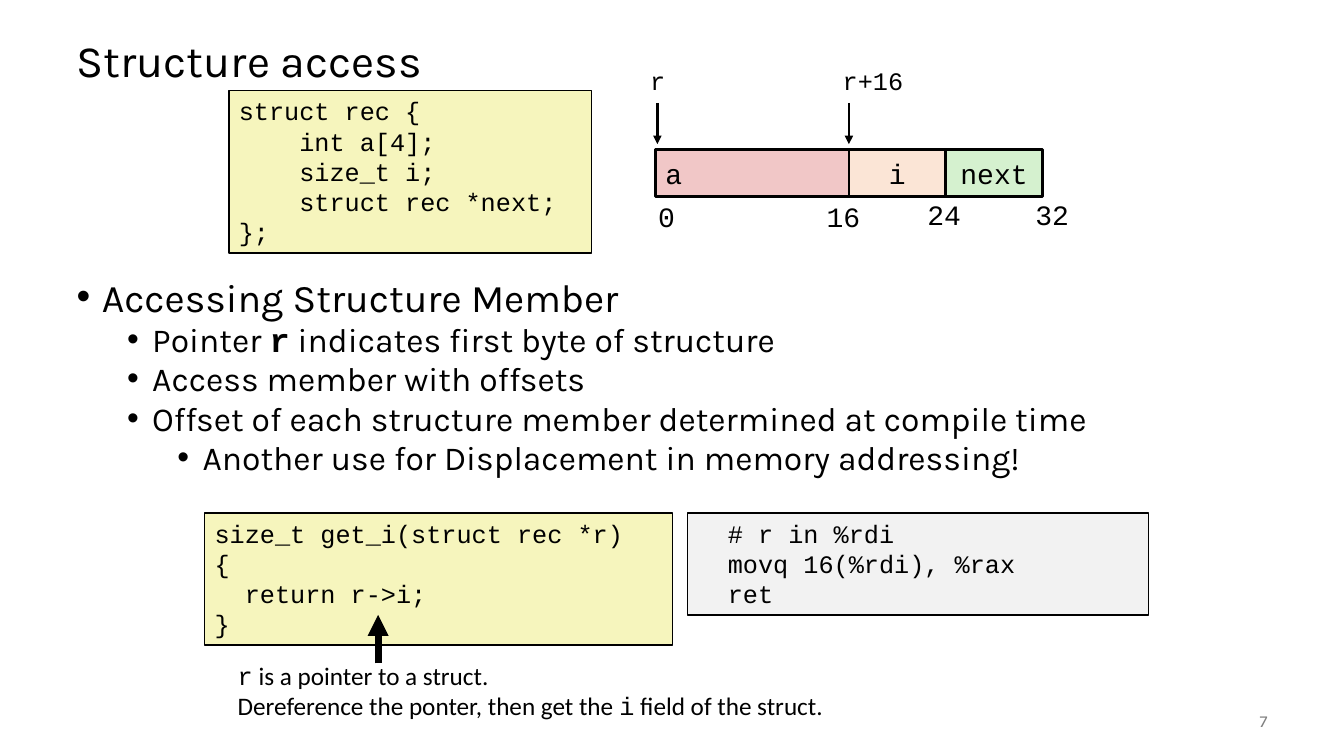
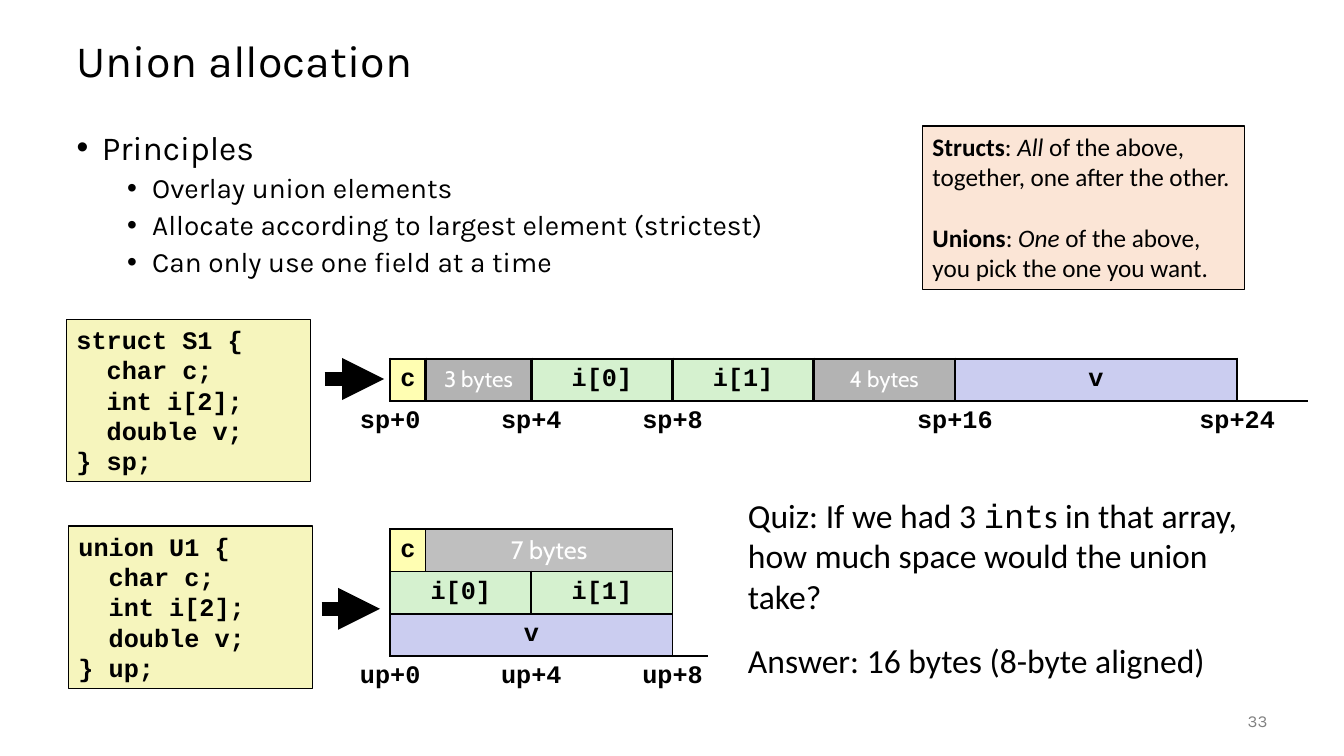
from lxml import etree
from pptx import Presentation
from pptx.dml.color import RGBColor
from pptx.enum.shapes import MSO_CONNECTOR, MSO_SHAPE
from pptx.enum.text import MSO_ANCHOR, MSO_AUTO_SIZE, PP_ALIGN
from pptx.oxml.ns import qn
from pptx.util import Pt

PX = 9144  # 100 px to the inch
RECTANGLE, STRAIGHT = MSO_SHAPE.RECTANGLE, MSO_CONNECTOR.STRAIGHT
LEFT, CENTER, RIGHT = PP_ALIGN.LEFT, PP_ALIGN.CENTER, PP_ALIGN.RIGHT
TOP, MIDDLE = MSO_ANCHOR.TOP, MSO_ANCHOR.MIDDLE
NO_FIT = MSO_AUTO_SIZE.NONE
NO_GRID_STYLE = "{2D5ABB26-0587-4C30-8999-92F81FD0307C}"


class Theme:
    heading, mono, note, padding = "Karla", "Courier New", "Calibri", "Cabin"
    black, white, number = "000000", "FFFFFF", "808080"
    code, assembly, peach = "F6F5BD", "F2F2F2", "FBE5D6"
    pink, green, yellow, lilac = "F1C7C7", "D5F1CF", "FFFEB2", "CBCDF0"
    gray, light_gray = "B3B3B3", "BFBFBF"
    title_size, large_size, field_size, text_size = 32, 24, 20, 18
    padding_size, number_size = 16, 12


def write(text_frame, paragraphs, size, font, bold=False, color=Theme.black, align=LEFT):
    """Fill a text frame; a paragraph is a string or a list of (text, marks)."""
    for index, content in enumerate(paragraphs):
        paragraph = text_frame.paragraphs[0] if index == 0 else text_frame.add_paragraph()
        paragraph.alignment = align
        runs = [(content, "")] if isinstance(content, str) else content
        for text, marks in runs:
            run = paragraph.add_run()
            run.text = text
            run.font.size = Pt(size)
            run.font.name = Theme.mono if "mono" in marks else font
            run.font.bold = bold or "bold" in marks
            run.font.italic = "italic" in marks
            run.font.color.rgb = RGBColor.from_string(color)


def add_box(slide, area, paragraphs, size=Theme.text_size, font=Theme.mono, bold=False,
            color=Theme.black, align=LEFT, anchor=TOP, fill=None, weight=1):
    """Add a text box, or an outlined rectangle when a fill is given."""
    place = [value * PX for value in area]
    if fill:
        shape = slide.shapes.add_shape(RECTANGLE, *place)
        shape.shadow.inherit = False
        shape.fill.solid()
        shape.fill.fore_color.rgb = RGBColor.from_string(fill)
        shape.line.color.rgb = RGBColor.from_string(Theme.black)
        shape.line.width = Pt(weight)
    else:
        shape = slide.shapes.add_textbox(*place)
    shape.text_frame.word_wrap = True
    shape.text_frame.vertical_anchor = anchor
    write(shape.text_frame, paragraphs, size, font, bold, color, align)
    return shape


presentation = Presentation()
presentation.slide_width, presentation.slide_height = 1333 * PX, 750 * PX
layout = presentation.slide_layouts[1]

# Titles, bullet lists and slide numbers
outlines = [
    ("Structure access", "7", (66, 275, 1200, 218), 0.8, (28, 24), [
        (0, "Accessing Structure Member"),
        (1, [("Pointer ", ""), ("r", "mono bold"), (" indicates first byte of structure", "")]),
        (1, "Access member with offsets"),
        (1, "Offset of each structure member determined at compile time"),
        (2, "Another use for Displacement in memory addressing!"),
    ]),
    ("Union allocation", "33", (66, 125, 795, 181), 0.9, (24, 20), [
        (0, "Principles"),
        (1, "Overlay union elements"),
        (1, "Allocate according to largest element (strictest)"),
        (1, "Can only use one field at a time"),
    ]),
]
for title_text, number, body_area, spacing, (top_size, sub_size), items in outlines:
    slide = presentation.slides.add_slide(layout)
    title, body = slide.shapes.title, slide.placeholders[1]
    for holder, area in ((title, (66, 25, 1200, 75)), (body, body_area)):
        holder.left, holder.top, holder.width, holder.height = [value * PX for value in area]
        holder.text_frame.auto_size = NO_FIT
    title.text_frame.vertical_anchor = MIDDLE
    write(title.text_frame, [title_text], Theme.title_size, Theme.heading)
    title.text_frame.paragraphs[0].line_spacing = 0.9

    write(body.text_frame, [content for _, content in items], sub_size, Theme.heading)
    for index, (level, _) in enumerate(items):
        paragraph = body.text_frame.paragraphs[index]
        paragraph.level = level
        paragraph.line_spacing = spacing
        paragraph.space_before = Pt(5 if index else 0)
        properties = paragraph._p.get_or_add_pPr()
        properties.set("marL", str((25 + 50 * level) * PX))
        properties.set("indent", str(-25 * PX))
        etree.SubElement(properties, qn("a:buFont"), typeface="Arial")
        etree.SubElement(properties, qn("a:buChar"), char="•")
    for run in body.text_frame.paragraphs[0].runs:
        run.font.size = Pt(top_size)

    add_box(slide, (1167, 695, 100, 40), [number], Theme.number_size, Theme.heading,
            color=Theme.number, align=RIGHT, anchor=MIDDLE)

access, union = presentation.slides

# Code boxes
code_boxes = [
    (access, (227, 90, 360, 161), Theme.code, False,
     ["struct rec {", "    int a[4];", "    size_t i;", "    struct rec *next;", "};"]),
    (access, (203, 509, 464, 131), Theme.code, False,
     ["size_t get_i(struct rec *r)", "{", "  return r->i;", "}"]),
    (access, (682, 509, 457, 101), Theme.assembly, False,
     ["  # r in %rdi", "  movq 16(%rdi), %rax", "  ret"]),
    (union, (66, 317, 242, 161), Theme.code, True,
     ["struct S1 {", "  char c;", "  int i[2];", "  double v;", "} sp;"]),
    (union, (68, 522, 242, 161), Theme.code, True,
     ["union U1 {", "  char c;", "  int i[2];", "  double v;", "} up;"]),
]
for slide, area, fill, bold, lines in code_boxes:
    add_box(slide, area, lines, bold=bold, fill=fill)

# Memory layout of the struct: 12 px to the byte
fields = [("a", 0, 16, Theme.pink, LEFT), ("i", 16, 8, Theme.peach, CENTER),
          ("next", 24, 8, Theme.green, CENTER)]
for name, offset, size, fill, align in fields:
    add_box(access, (650 + 12 * offset, 148, 12 * size, 47), [name], Theme.field_size,
            align=align, anchor=MIDDLE, fill=fill, weight=2)
for offset, left, top in (("0", 643, 193), ("16", 810, 193), ("24", 910, 191), ("32", 1017, 191)):
    add_box(access, (left, top, 60, 43), [offset], Theme.field_size)
for pointer, left in (("r", 635), ("r+16", 826)):
    add_box(access, (left, 60, 100, 40), [pointer])

# Notes
add_box(access, (226, 650, 640, 71), [
    [("r", "mono"), (" is a pointer to a struct.", "")],
    [("Dereference the ponter, then get the ", ""), ("i", "mono"),
     (" field of the struct.", "")],
], font=Theme.note)
summary = add_box(union, (915, 125, 319, 162), [
    [("Structs", "bold"), (": ", ""), ("All", "italic"), (" of the above,", "")],
    "together, one after the other.",
    [("Unions", "bold"), (": ", ""), ("One", "italic"), (" of the above,", "")],
    "you pick the one you want.",
], font=Theme.note, fill=Theme.peach, weight=0.75)
summary.text_frame.paragraphs[2].space_before = Pt(22)
add_box(union, (732, 486, 522, 131), [
    [("Quiz: If we had 3 ", ""), ("int", "mono"),
     ("s in that array, how much space would the union take?", "")],
], Theme.large_size, Theme.note)
add_box(union, (732, 630, 508, 50), ["Answer: 16 bytes (8-byte aligned)"],
        Theme.large_size, Theme.note)

# Arrows
arrows = [
    (access, (652, 102, 652, 143), 2),
    (access, (842, 102, 842, 143), 2),
    (access, (375, 658, 375, 610), 5),
    (union, (322, 376, 381, 376), 10),
    (union, (319, 604, 377, 604), 10),
]
for slide, ends, weight in arrows:
    arrow = slide.shapes.add_connector(STRAIGHT, *[value * PX for value in ends])
    arrow.line.color.rgb = RGBColor.from_string(Theme.black)
    arrow.line.width = Pt(weight)
    etree.SubElement(arrow.line._get_or_add_ln(), qn("a:tailEnd"), type="triangle")
    etree.SubElement(arrow._element.spPr, qn("a:effectLst"))

# Memory tables: bars are (row, column, span, text, fill), labels (column, text)
tables = [
    (356, 23, 2, (15, 16, 21, 22), 2, Theme.padding_size, [
        (0, 1, 1, "c", Theme.yellow), (0, 2, 3, "3 bytes", Theme.gray),
        (0, 5, 4, "i[0]", Theme.green), (0, 9, 4, "i[1]", Theme.green),
        (0, 13, 3, "4 bytes", Theme.gray), (0, 16, 6, "v", Theme.lilac),
    ], [(0, "sp+0"), (4, "sp+4"), (8, "sp+8"), (15, "sp+16"), (21, "sp+24")]),
    (525, 8, 4, (3, 4), 1.5, Theme.text_size, [
        (0, 1, 1, "c", Theme.yellow), (0, 2, 5, "7 bytes", Theme.light_gray),
        (1, 1, 3, "i[0]", Theme.green), (1, 4, 3, "i[1]", Theme.green),
        (2, 1, 6, "v", Theme.lilac),
    ], [(0, "up+0"), (3, "up+4"), (6, "up+8")]),
]
for top, columns, rows, wide_columns, weight, padding_size, bars, labels in tables:
    widths = [70 if column in wide_columns else 35 for column in range(columns)]
    frame = union.shapes.add_table(rows, columns, 352 * PX, top * PX,
                                   sum(widths) * PX, 42 * rows * PX)
    table = frame.table
    table.first_row = table.horz_banding = False
    table._tbl.tblPr.find(qn("a:tableStyleId")).text = NO_GRID_STYLE
    for column, width in zip(table.columns, widths):
        column.width = width * PX
    for row in table.rows:
        row.height = 42 * PX
    for cell in table.iter_cells():
        cell.margin_left = cell.margin_right = cell.margin_top = cell.margin_bottom = 0
        cell.vertical_anchor = MIDDLE

    # Borders: a full outline for each bar, and a base line to the table's edge
    borders = {(rows - 2, columns - 1): ["lnB"]}
    for row, column, span, _, _ in bars:
        for index in range(column, column + span):
            borders[row, index] = ["lnT", "lnB"]
        borders[row, column + span - 1].insert(0, "lnR")
        borders[row, column] = ["lnL", "lnR", "lnT", "lnB"]
    for (row, column), sides in borders.items():
        properties = table.cell(row, column)._tc.get_or_add_tcPr()
        for side in sides:
            line = etree.SubElement(properties, qn("a:" + side), w=str(Pt(weight)))
            color = etree.SubElement(line, qn("a:solidFill"))
            etree.SubElement(color, qn("a:srgbClr"), val=Theme.black)

    captions = [(rows - 1, column, 2, text, None) for column, text in labels]
    for row, column, span, text, fill in bars + captions:
        cell = table.cell(row, column)
        if span > 1:
            cell.merge(table.cell(row, column + span - 1))
        if fill:
            cell.fill.solid()
            cell.fill.fore_color.rgb = RGBColor.from_string(fill)
        if fill in (Theme.gray, Theme.light_gray):
            write(cell.text_frame, [text], padding_size, Theme.padding,
                  color=Theme.white, align=CENTER)
        else:
            write(cell.text_frame, [text], Theme.text_size, Theme.mono, True, align=CENTER)

presentation.save("out.pptx")
